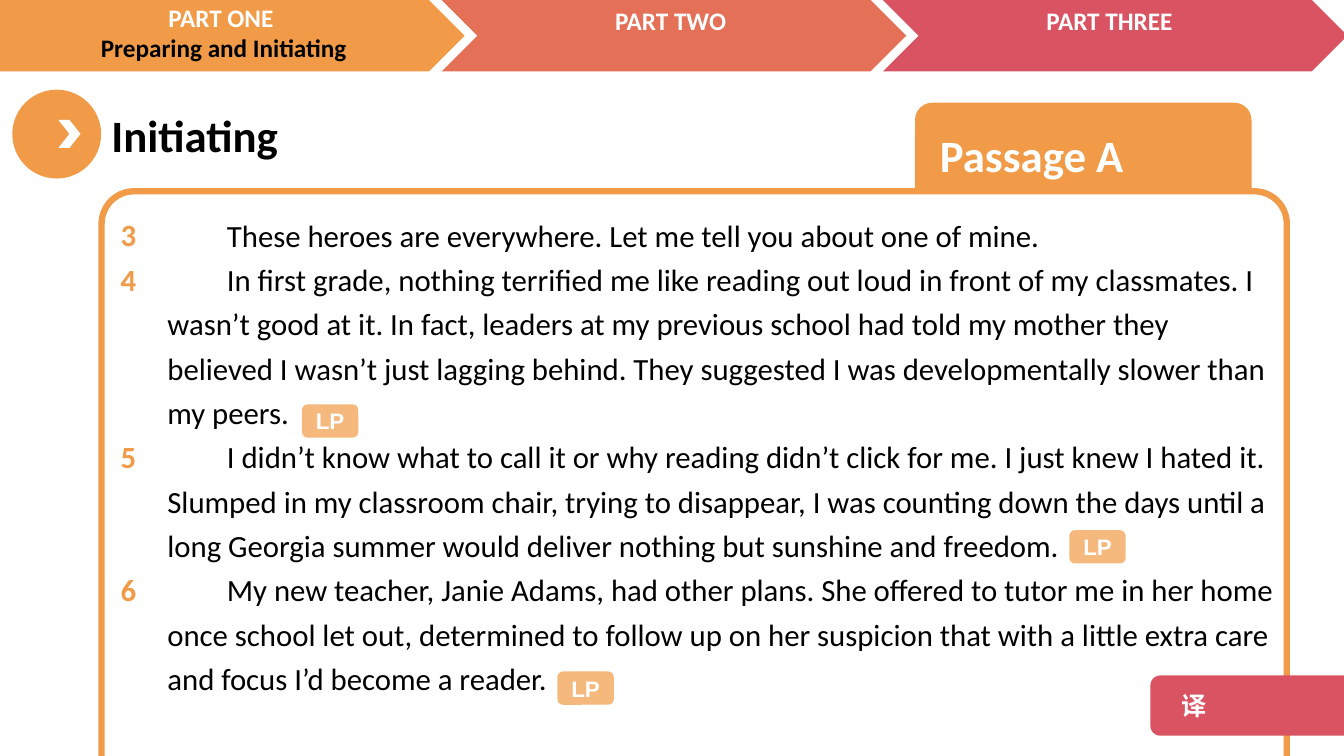
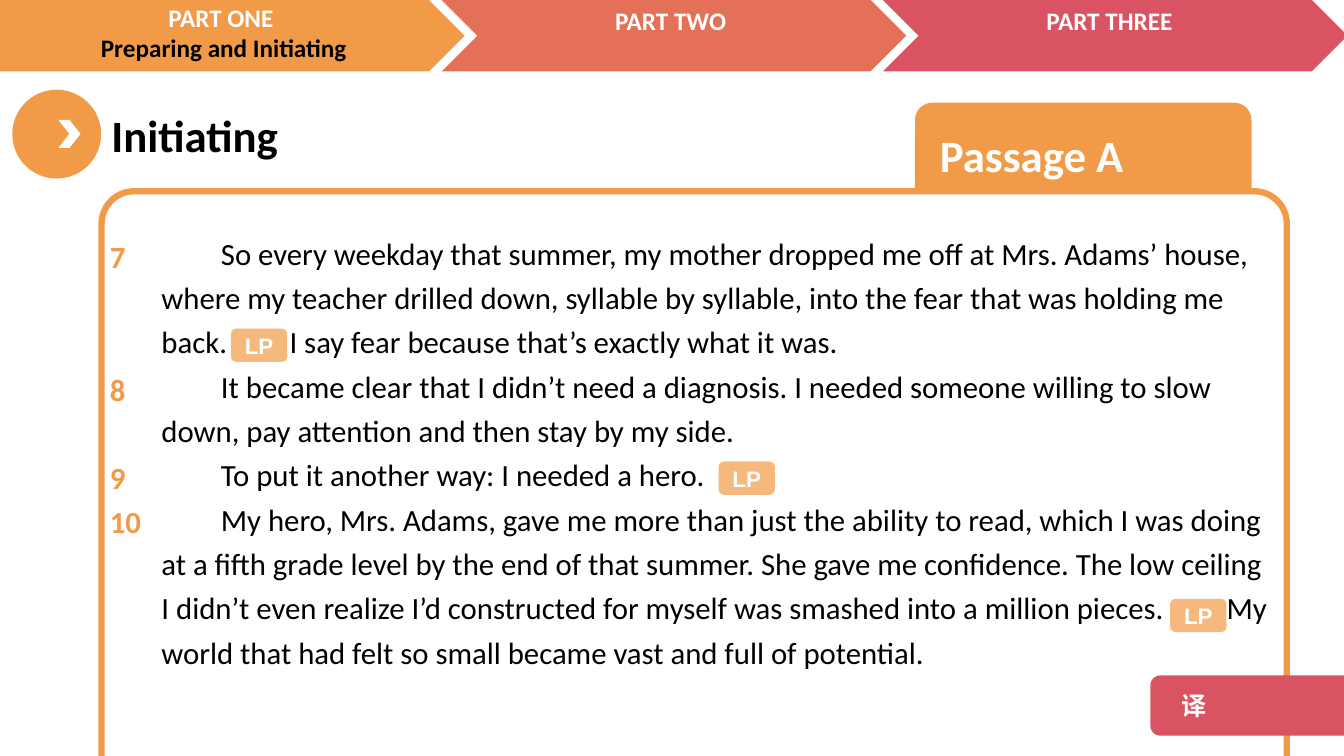
"""Build two reading-passage slides with a shared chapter banner and passage frame."""

from dataclasses import dataclass

from lxml import etree
from pptx import Presentation
from pptx.dml.color import RGBColor
from pptx.enum.shapes import MSO_SHAPE
from pptx.enum.text import MSO_ANCHOR, PP_ALIGN
from pptx.oxml.ns import qn
from pptx.util import Cm, Pt

ELLIPSE = MSO_SHAPE.OVAL
ROUNDED = MSO_SHAPE.ROUNDED_RECTANGLE
CHEVRON = MSO_SHAPE.CHEVRON
LEFT, CENTER = PP_ALIGN.LEFT, PP_ALIGN.CENTER
TOP, MIDDLE = MSO_ANCHOR.TOP, MSO_ANCHOR.MIDDLE

COLORS = {
    "orange": "F19B48",
    "coral": "E47057",
    "red": "DA5362",
    "white": "FFFFFF",
    "black": "000000",
}
HEADING_FONT = "Calibri"
LABEL_FONT = "Arial"
CHINESE_FONT = "Noto Sans CJK SC"
BODY_SIZE = 22
BODY_SPACING = 1.2
LINE_PITCH = 31.64
TAG_GAP = 39.7
BANNER_HEIGHT = 1.8


@dataclass(frozen=True)
class Box:
    """Position and size in centimetres."""

    left: float
    top: float
    width: float
    height: float


@dataclass(frozen=True)
class Part:
    """One chevron of the banner with its label."""

    color: str
    chevron: Box
    label: Box
    title: str
    subtitle: str = ""


@dataclass(frozen=True)
class Passage:
    """A numbered paragraph, the lines it fills and the text after an inline tag."""

    number: int
    lines: int
    text: str
    tail: str = ""


@dataclass(frozen=True)
class Page:
    """The passages of one slide and the places of their LP tags."""

    body: Box
    numbers: Box
    passages: tuple[Passage, ...]
    tags: tuple[tuple[float, float], ...]


PARTS = (
    Part("coral", Box(11.13, 0, 11.71, BANNER_HEIGHT), Box(11.11, 0, 11.58, 1.8), "PART TWO"),
    Part("red", Box(22.25, 0, 11.71, BANNER_HEIGHT), Box(22.17, 0, 11.58, 1.02), "PART THREE"),
    Part("orange", Box(-1.55, 0, 13.26, BANNER_HEIGHT), Box(-0.15, -0.07, 11.58, 1.8),
         "PART ONE ", "Preparing and Initiating"),
)

PAGES = (
    Page(
        Box(3.97, 5.14, 28.58, 12.8),
        Box(2.79, 5.13, 1.3, 12.8),
        (
            Passage(3, 1, "These heroes are everywhere. Let me tell you about one of mine."),
            Passage(4, 4, "In first grade, nothing terrified me like reading out loud in front of my "
                    "classmates. I wasn’t good at it. In fact, leaders at my previous school had told "
                    "my mother they believed I wasn’t just lagging behind. They suggested I was "
                    "developmentally slower than my peers."),
            Passage(5, 3, "I didn’t know what to call it or why reading didn’t click for me. I just "
                    "knew I hated it. Slumped in my classroom chair, trying to disappear, I was "
                    "counting down the days until a long Georgia summer would deliver nothing but "
                    "sunshine and freedom."),
            Passage(6, 3, "My new teacher, Janie Adams, had other plans. She offered to tutor me in "
                    "her home once school let out, determined to follow up on her suspicion that "
                    "with a little extra care and focus I’d become a reader."),
        ),
        ((7.61, 10.19), (26.95, 13.36), (14.05, 16.92)),
    ),
    Page(
        Box(3.82, 5.6, 28.58, 12.3),
        Box(2.52, 5.67, 1.3, 12.3),
        (
            Passage(7, 3, "So every weekday that summer, my mother dropped me off at Mrs. Adams’ "
                    "house, where my teacher drilled down, syllable by syllable, into the fear that "
                    "was holding me back.", "I say fear because that’s exactly what it was."),
            Passage(8, 2, "It became clear that I didn’t need a diagnosis. I needed someone willing "
                    "to slow down, pay attention and then stay by my side."),
            Passage(9, 1, "To put it another way: I needed a hero."),
            Passage(10, 4, "My hero, Mrs. Adams, gave me more than just the ability to read, which I "
                    "was doing at a fifth grade level by the end of that summer. She gave me "
                    "confidence. The low ceiling I didn’t even realize I’d constructed for myself "
                    "was smashed into a million pieces.",
                    "My world that had felt so small became vast and full of potential."),
        ),
        ((5.82, 8.28), (18.11, 11.63), (29.49, 15.09)),
    ),
)


def rgb(name: str) -> RGBColor:
    """Return a palette colour."""
    return RGBColor.from_string(COLORS[name])


def add_box(slide, kind, box: Box, color: str, *, line: str = "", alpha: int = 100):
    """Draw a filled preset shape."""
    shape = slide.shapes.add_shape(kind, Cm(box.left), Cm(box.top), Cm(box.width), Cm(box.height))
    shape.shadow.inherit = False
    shape.fill.solid()
    shape.fill.fore_color.rgb = rgb(color)
    if alpha < 100:
        color_element = shape.element.spPr.find(".//" + qn("a:srgbClr"))
        etree.SubElement(color_element, qn("a:alpha"), val=str(alpha * 1000))
    if line:
        shape.line.color.rgb = rgb(line)
        shape.line.width = Pt(4.5)
    else:
        shape.line.fill.background()
    return shape


def add_text_box(slide, box: Box):
    """Add an empty text box."""
    return slide.shapes.add_textbox(Cm(box.left), Cm(box.top), Cm(box.width), Cm(box.height))


def set_frame(shape, *, anchor=TOP, inset: float = 0.25) -> None:
    """Set wrapping, anchor and left margin of a text frame."""
    frame = shape.text_frame
    frame.word_wrap = True
    frame.vertical_anchor = anchor
    frame.margin_left = Cm(inset)


def write(shape, text: str, *, size: float, color: str, font: str = HEADING_FONT, bold: bool = True,
          align=LEFT, spacing: float = 1.0, before: float = 0, indent: float = 0,
          tail: str = "") -> None:
    """Append one formatted paragraph, with a widened space before any tail."""
    frame = shape.text_frame
    paragraph = frame.add_paragraph() if frame.text else frame.paragraphs[0]
    if indent:
        properties = paragraph._p.get_or_add_pPr()
        properties.set("marL", "0")
        properties.set("indent", str(Cm(indent)))
    paragraph.alignment = align
    paragraph.line_spacing = spacing
    paragraph.space_before = Pt(before)
    pieces = [(text, 0), (" ", TAG_GAP), (tail, 0)] if tail else [(text, 0)]
    for piece, gap in pieces:
        run = paragraph.add_run()
        run.text = piece
        run.font.size = Pt(size)
        run.font.bold = bold
        run.font.color.rgb = rgb(color)
        run.font.name = font
        run_properties = run._r.get_or_add_rPr()
        etree.SubElement(run_properties, qn("a:ea"), typeface=font)
        if gap:
            run_properties.set("spc", str(round(gap * 100)))


def draw_banner(slide) -> None:
    """Draw the three chevrons and their labels."""
    for part in PARTS:
        add_box(slide, CHEVRON, part.chevron, part.color)
    for part in PARTS:
        label = add_text_box(slide, part.label)
        set_frame(label)
        write(label, part.title, size=18, color="white", align=CENTER)
        if part.subtitle:
            write(label, part.subtitle, size=18, color="black", align=CENTER)


def draw_frame(slide) -> None:
    """Draw the heading, the passage tab and the panel."""
    add_box(slide, ELLIPSE, Box(0.31, 2.26, 2.24, 2.24), "orange")
    add_box(slide, CHEVRON, Box(1.47, 3.02, 0.56, 0.71), "white")
    heading = add_text_box(slide, Box(2.56, 2.59, 12.32, 1.63))
    set_frame(heading)
    write(heading, "Initiating", size=32, color="black")
    tab = add_box(slide, ROUNDED, Box(23.06, 2.59, 8.48, 2.59), "orange")
    set_frame(tab, anchor=MIDDLE, inset=0.5)
    write(tab, "Passage A", size=32, color="white")
    panel = add_box(slide, ROUNDED, Box(2.56, 4.82, 29.87, 16.38), "white", line="orange")
    panel.adjustments[0] = 0.05


def draw_passages(slide, page: Page) -> None:
    """Write the paragraphs and the numbers level with their first lines."""
    body = add_text_box(slide, page.body)
    numbers = add_text_box(slide, page.numbers)
    set_frame(body)
    set_frame(numbers)
    skipped = 0
    for passage in page.passages:
        write(body, passage.text, size=BODY_SIZE, color="black", bold=False,
              spacing=BODY_SPACING, indent=1.5, tail=passage.tail)
        write(numbers, str(passage.number), size=BODY_SIZE, color="orange",
              spacing=BODY_SPACING, before=skipped * LINE_PITCH)
        skipped = passage.lines - 1


def draw_tags(slide, page: Page) -> None:
    """Draw the LP tags and the translation button."""
    for left, top in page.tags:
        tag = add_box(slide, ROUNDED, Box(left, top, 1.42, 0.84), "orange", alpha=71)
        set_frame(tag, anchor=MIDDLE)
        write(tag, "LP", size=16, color="white", font=LABEL_FONT, align=CENTER)
    button = add_box(slide, ROUNDED, Box(28.99, 17.02, 5.41, 1.52), "red")
    set_frame(button, anchor=MIDDLE, inset=0.7)
    write(button, "译", size=18, color="white", font=CHINESE_FONT)


def main() -> None:
    """Build and save the presentation."""
    presentation = Presentation()
    presentation.slide_width = Cm(33.87)
    presentation.slide_height = Cm(19.05)
    for page in PAGES:
        slide = presentation.slides.add_slide(presentation.slide_layouts[6])
        draw_frame(slide)
        draw_banner(slide)
        draw_passages(slide, page)
        draw_tags(slide, page)
    presentation.save("out.pptx")


if __name__ == "__main__":
    main()
